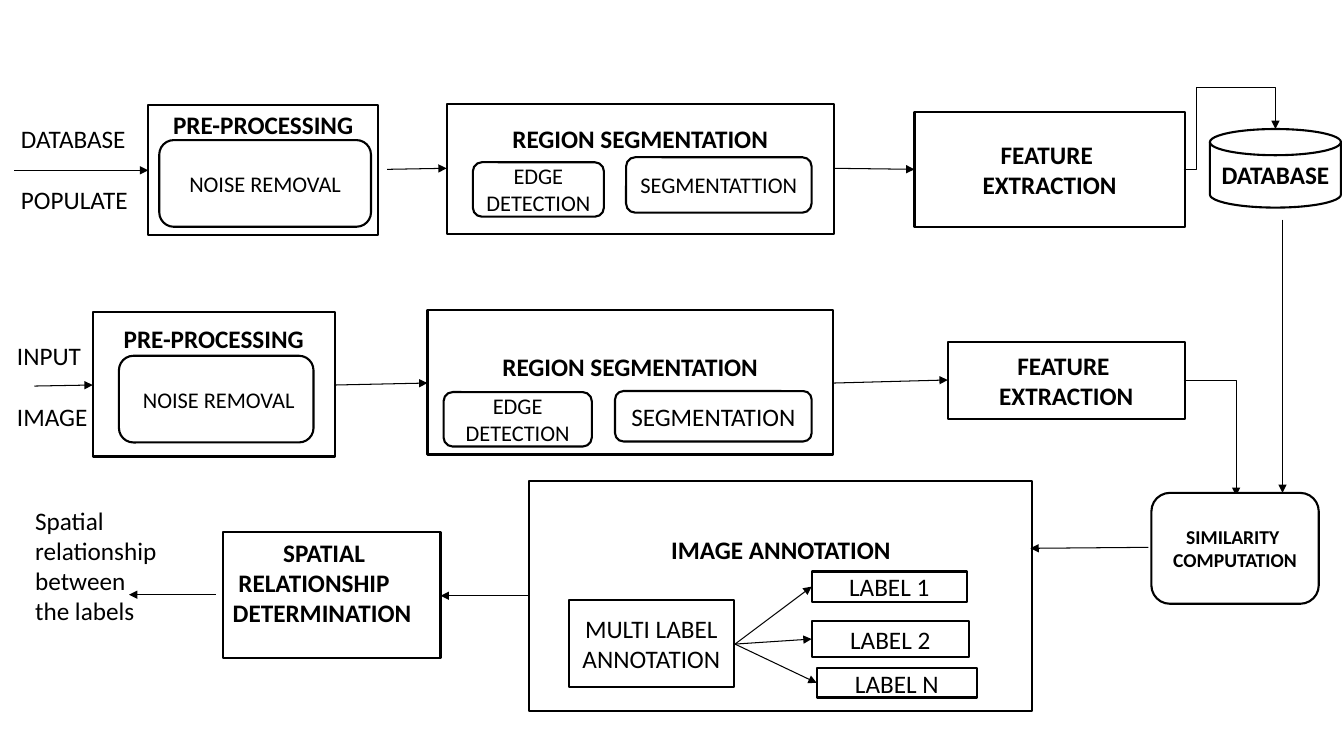
from pptx import Presentation
from pptx.dml.color import RGBColor
from pptx.enum.shapes import MSO_CONNECTOR, MSO_SHAPE
from pptx.enum.text import MSO_ANCHOR, PP_ALIGN
from pptx.oxml.ns import qn
from pptx.util import Inches, Pt
from lxml import etree

RECT, ROUND = MSO_SHAPE.RECTANGLE, MSO_SHAPE.ROUNDED_RECTANGLE
DISK = MSO_SHAPE.FLOWCHART_MAGNETIC_DISK
STRAIGHT, ELBOW = MSO_CONNECTOR.STRAIGHT, MSO_CONNECTOR.ELBOW
LEFT, CENTER = PP_ALIGN.LEFT, PP_ALIGN.CENTER
TOP, MIDDLE = MSO_ANCHOR.TOP, MSO_ANCHOR.MIDDLE
BLACK, WHITE = "000000", "FFFFFF"
FONT = "Calibri"


def rgb(value):
    """Turn a hex string into a colour."""
    return RGBColor.from_string(value)


def write(tf, text, size=18, bold=False, align=CENTER, gap=0, indent=0):
    """Write one paragraph per line, with gap points between paragraphs."""
    tf.word_wrap = True
    for i, line in enumerate(text.split("\n")):
        p = tf.add_paragraph() if i else tf.paragraphs[0]
        p.alignment = align
        if i:
            p.space_before = Pt(gap)
        elif indent:
            p._p.get_or_add_pPr().set("marL", str(Inches(indent)))
        r = p.add_run()
        r.text = line
        r.font.name, r.font.size, r.font.bold = FONT, Pt(size), bold
        r.font.color.rgb = rgb(BLACK)


def box(s, kind, at, text, top=None, **fmt):
    """Draw an outlined box; top puts its text that far below the top edge."""
    sp = s.shapes.add_shape(kind, *map(Inches, at))
    sp.shadow.inherit = False
    sp.fill.solid()
    sp.fill.fore_color.rgb = rgb(WHITE)
    sp.line.color.rgb = rgb(BLACK)
    sp.line.width = Pt(1.5)
    tf = sp.text_frame
    tf.vertical_anchor = MIDDLE if top is None else TOP
    if top is not None:
        tf.margin_top = Inches(top)
    write(tf, text, **fmt)


def label(s, at, text, **fmt):
    """Add left-aligned free text."""
    sp = s.shapes.add_textbox(*map(Inches, at))
    write(sp.text_frame, text, align=LEFT, **fmt)


def arrow(s, start, end, bend=None, adjust=()):
    """Draw an arrow, optionally as a named bent connector with adjustments."""
    kind = ELBOW if bend else STRAIGHT
    c = s.shapes.add_connector(kind, *map(Inches, (*start, *end)))
    c.line.color.rgb = rgb(BLACK)
    c.line.width = Pt(0.75)
    etree.SubElement(c.line._get_or_add_ln(), qn("a:tailEnd"), type="triangle")
    spPr = c._element.spPr
    etree.SubElement(spPr, qn("a:effectLst"))
    if bend:
        geom = spPr.find(qn("a:prstGeom"))
        geom.set("prst", bend)
        guides = geom.find(qn("a:avLst"))
        for i, value in enumerate(adjust, 1):
            etree.SubElement(guides, qn("a:gd"), name=f"adj{i}", fmla=f"val {value}")


def database_row(s):
    """Draw the row that populates the database."""
    label(s, (0.11, 1.17, 1.33, 1.01), "DATABASE\nPOPULATE", gap=22)
    box(s, RECT, (1.47, 1.04, 2.28, 1.29), "PRE-PROCESSING", top=0.04, bold=True)
    box(s, ROUND, (1.58, 1.39, 2.1, 0.86), "NOISE REMOVAL", size=16)
    box(s, RECT, (4.43, 1.03, 3.84, 1.29), "REGION SEGMENTATION", top=0.19, bold=True)
    box(s, ROUND, (4.69, 1.61, 1.3, 0.54), "EDGE\nDETECTION", size=16)
    box(s, ROUND, (6.21, 1.56, 1.84, 0.55), "SEGMENTATTION", size=16)
    box(s, RECT, (9.07, 1.11, 2.68, 1.14), "FEATURE \nEXTRACTION", bold=True)
    box(s, DISK, (12, 1.28, 1.3, 0.78), "DATABASE", bold=True)
    arrow(s, (0.14, 1.69), (1.47, 1.69))
    arrow(s, (3.84, 1.68), (4.43, 1.67))
    arrow(s, (8.27, 1.67), (9.07, 1.68))
    arrow(s, (11.74, 1.68), (12.65, 1.28), "bentConnector4", (14300, 202600))


def input_row(s):
    """Draw the row that processes the input image."""
    label(s, (0.07, 3.33, 0.99, 1.01), "INPUT\nIMAGE", gap=22)
    box(s, RECT, (0.92, 3.1, 2.4, 1.43), "PRE-PROCESSING", top=0.11, bold=True)
    box(s, ROUND, (1.18, 3.53, 1.93, 0.86), " NOISE REMOVAL", size=16)
    box(s, RECT, (4.24, 3.08, 4.02, 1.43), "REGION SEGMENTATION", top=0.41, bold=True)
    box(s, ROUND, (4.4, 3.89, 1.47, 0.54), "EDGE\nDETECTION", size=16)
    box(s, ROUND, (6.1, 3.88, 1.95, 0.5), "SEGMENTATION")
    box(s, RECT, (9.4, 3.39, 2.35, 0.77), "FEATURE \nEXTRACTION", bold=True)
    arrow(s, (0.34, 3.83), (0.92, 3.82))
    arrow(s, (3.32, 3.82), (4.24, 3.8))
    arrow(s, (8.27, 3.8), (9.4, 3.77))
    arrow(s, (11.74, 3.77), (12.26, 4.92), "bentConnector2")


def annotation_row(s):
    """Draw similarity, annotation and spatial relationship steps."""
    box(s, ROUND, (11.42, 4.89, 1.66, 1.1), "SIMILARITY \nCOMPUTATION",
        size=14, bold=True)
    box(s, RECT, (5.25, 4.77, 4.99, 2.28), "IMAGE ANNOTATION", top=0.53, bold=True)
    box(s, RECT, (5.64, 5.95, 1.64, 0.87), "MULTI LABEL ANNOTATION")
    for name, x, y, w, h in (("1", 8.05, 5.67, 1.54, 0.3),
                             ("2", 8.05, 6.16, 1.56, 0.36),
                             ("N", 8.1, 6.63, 1.59, 0.29)):
        box(s, RECT, (x, y, w, h), f"LABEL {name}")
        arrow(s, (7.29, 6.39), (x, y + h / 2))
    box(s, RECT, (2.21, 5.28, 2.16, 1.25), "SPATIAL\n RELATIONSHIP DETERMINATION",
        top=0.05, bold=True, align=LEFT, indent=0.5)
    label(s, (0.25, 4.96, 1.41, 1.31), "Spatial relationship\nbetween the labels")
    arrow(s, (12.72, 2.18), (12.72, 4.89))
    arrow(s, (11.39, 5.43), (10.22, 5.44))
    arrow(s, (5.25, 5.91), (4.37, 5.91))
    arrow(s, (2.14, 5.9), (1.28, 5.9))


def main():
    """Build the slide and save it."""
    prs = Presentation()
    prs.slide_width, prs.slide_height = Inches(13.33), Inches(7.5)
    s = prs.slides.add_slide(prs.slide_layouts[6])
    database_row(s)
    input_row(s)
    annotation_row(s)
    prs.save("out.pptx")


if __name__ == "__main__":
    main()
